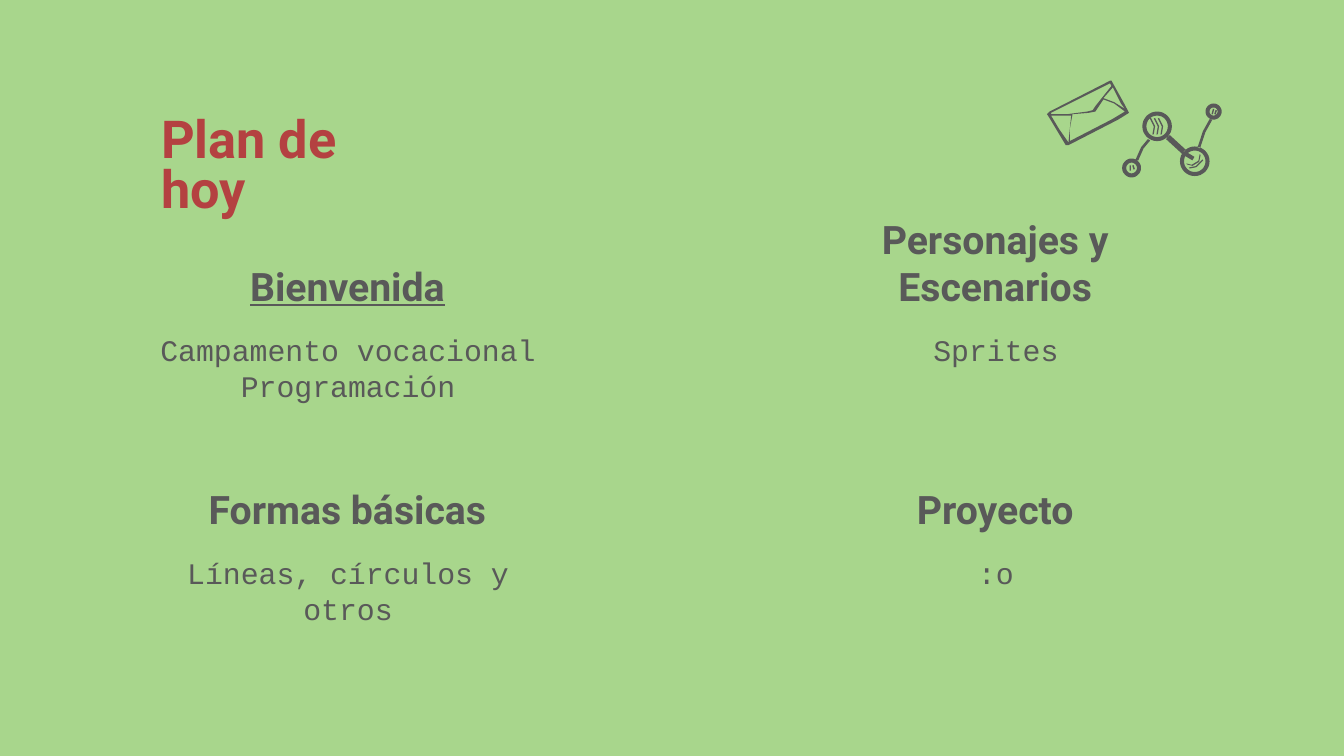
from dataclasses import dataclass
from math import cos, hypot, pi, sin

from pptx import Presentation
from pptx.dml.color import RGBColor
from pptx.enum.text import MSO_ANCHOR, PP_ALIGN
from pptx.util import Inches, Pt

TOP, BOTTOM = MSO_ANCHOR.TOP, MSO_ANCHOR.BOTTOM
LEFT, CENTER = PP_ALIGN.LEFT, PP_ALIGN.CENTER


@dataclass(frozen=True)
class Theme:
    background: RGBColor = RGBColor(0xA8, 0xD6, 0x8C)
    accent: RGBColor = RGBColor(0xB4, 0x41, 0x41)
    ink: RGBColor = RGBColor(0x59, 0x59, 0x59)
    heading_font: str = "Roboto"
    body_font: str = "Courier New"
    title_size: int = 28
    heading_size: int = 21
    body_size: int = 16


THEME = Theme()


def add_text(slide, box, lines, *, font, size, color=THEME.ink, bold=False,
             underline=False, align=CENTER, anchor=TOP, spacing=None):
    frame = slide.shapes.add_textbox(*map(Inches, box)).text_frame
    frame.word_wrap = True
    frame.vertical_anchor = anchor
    frame.margin_left = frame.margin_right = Inches(0.1)
    frame.margin_top = frame.margin_bottom = Inches(0.1)
    frame.text = "\n".join(lines)
    for paragraph in frame.paragraphs:
        paragraph.alignment = align
        if spacing:
            paragraph.line_spacing = spacing
        for run in paragraph.runs:
            run.font.name = font
            run.font.size = Pt(size)
            run.font.bold = bold
            run.font.underline = underline
            run.font.color.rgb = color


def add_doodle(slide, box, contours):
    """Fill one outline of several contours; points are inches from the box corner."""
    left, top = box[:2]
    scaled = [[(round(x * 1000), round(y * 1000)) for x, y in contour]
              for contour in contours]
    builder = slide.shapes.build_freeform(*scaled[0][0], scale=Inches(1) / 1000)
    for index, (start, *rest) in enumerate(scaled):
        if index:
            builder.move_to(*start)
        builder.add_line_segments(rest, close=True)
    doodle = builder.convert_to_shape(Inches(left), Inches(top))
    doodle.shadow.inherit = False
    doodle.fill.solid()
    doodle.fill.fore_color.rgb = THEME.ink
    doodle.line.fill.background()


def circle(x, y, radius, steps=32):
    return [(x + radius * cos(2 * pi * step / steps),
             y + radius * sin(2 * pi * step / steps)) for step in range(steps)]


def ribbon(points, width):
    """Outline a pen stroke of the given width along the points."""
    (x1, y1), (x2, y2) = points[0], points[-1]
    length = hypot(x2 - x1, y2 - y1)
    dx, dy = (y1 - y2) / length * width / 2, (x2 - x1) / length * width / 2
    return ([(x + dx, y + dy) for x, y in points]
            + [(x - dx, y - dy) for x, y in reversed(points)])


def add_envelope(slide, box):
    outline = [(0.47, 0), (0.02, 0.23), (0, 0.25), (0.02, 0.28), (0.14, 0.48),
               (0.16, 0.48), (0.53, 0.29), (0.61, 0.24), (0.58, 0.18), (0.48, 0)]
    flap = [(0.47, 0.02), (0.03, 0.24), (0.03, 0.25), (0.15, 0.25), (0.3, 0.23),
            (0.34, 0.22), (0.36, 0.19), (0.4, 0.14), (0.48, 0.04)]
    right_fold = [(0.49, 0.05), (0.42, 0.13), (0.5, 0.16), (0.58, 0.21), (0.55, 0.17)]
    front = [(0.42, 0.14), (0.36, 0.23), (0.31, 0.24), (0.19, 0.25), (0.17, 0.36),
             (0.17, 0.45), (0.48, 0.29), (0.58, 0.23), (0.5, 0.17)]
    left_fold = [(0.03, 0.26), (0.09, 0.36), (0.16, 0.46), (0.17, 0.36), (0.18, 0.26)]
    holes = [hole[::-1] for hole in (flap, right_fold, front, left_fold)]
    add_doodle(slide, box, [outline, *holes])


def add_molecule(slide, box):
    contours = []
    # Atoms: outer radius and ring thickness
    for x, y, radius, ring in [(0.07, 0.47, 0.07, 0.03), (0.26, 0.16, 0.11, 0.03),
                               (0.54, 0.42, 0.11, 0.03), (0.68, 0.05, 0.06, 0.03)]:
        contours += [circle(x, y, radius), circle(x, y, radius - ring)[::-1]]
    # Links between atoms
    for points, width in [([(0.11, 0.41), (0.15, 0.32), (0.2, 0.26)], 0.02),
                          ([(0.34, 0.24), (0.46, 0.35)], 0.04),
                          ([(0.48, 0.37), (0.53, 0.4)], 0.03),
                          ([(0.57, 0.32), (0.61, 0.2), (0.66, 0.11)], 0.02)]:
        contours.append(ribbon(points, width))
    # Shading inside the atoms
    strokes = [[(x, 0.1), (x + 0.03, 0.16), (x + 0.02, 0.22)]
               for x in (0.21, 0.24, 0.27)]
    strokes += [[(0.48, 0.44), (0.52, 0.45), (0.57, 0.42), (0.58, 0.37)],
                [(0.5, 0.47), (0.55, 0.46), (0.6, 0.41)],
                [(0.06, 0.45), (0.06, 0.49)], [(0.08, 0.45), (0.09, 0.48)],
                [(0.67, 0.07), (0.68, 0.03)], [(0.69, 0.07), (0.7, 0.04)]]
    contours += [ribbon(points, 0.01) for points in strokes]
    add_doodle(slide, box, contours)


def add_topic(slide, box, heading, details, underline=False):
    left, top, width, height = box
    add_text(slide, (left, top, width, 0.53), [heading], font=THEME.heading_font,
             size=THEME.heading_size, bold=True, underline=underline, anchor=BOTTOM)
    add_text(slide, (left + 0.03, top + 0.5, width - 0.05, height - 0.5), details,
             font=THEME.body_font, size=THEME.body_size)


def add_agenda(slide, box, topics):
    left, top, width, height = box
    topic_width, topic_height = 3.19, 1.28
    for index, (heading, details, underline) in enumerate(topics):
        row, column = divmod(index, 2)
        topic_box = (left + column * (width - topic_width),
                     top + row * (height - topic_height), topic_width, topic_height)
        add_topic(slide, topic_box, heading, details, underline)


def main():
    deck = Presentation()
    deck.slide_width, deck.slide_height = Inches(10), Inches(5.625)
    slide = deck.slides.add_slide(deck.slide_layouts[6])
    slide.background.fill.solid()
    slide.background.fill.fore_color.rgb = THEME.background

    # Title
    add_text(slide, (1.1, 0.78, 2.63, 0.88), ["Plan de \vhoy"],
             font=THEME.heading_font, size=THEME.title_size, color=THEME.accent,
             bold=True, align=LEFT, spacing=0.8)

    # Doodles
    add_molecule(slide, (8.35, 0.78, 0.74, 0.53))
    add_envelope(slide, (7.79, 0.6, 0.62, 0.49))

    # Topics of the day
    add_agenda(slide, (0.99, 1.87, 8.01, 2.94), [
        ("Bienvenida", ["Campamento vocacional", "Programación"], True),
        ("Personajes y Escenarios", ["Sprites"], False),
        ("Formas básicas", ["Líneas, círculos y otros"], False),
        ("Proyecto", [":o"], False),
    ])
    deck.save("out.pptx")


if __name__ == "__main__":
    main()
